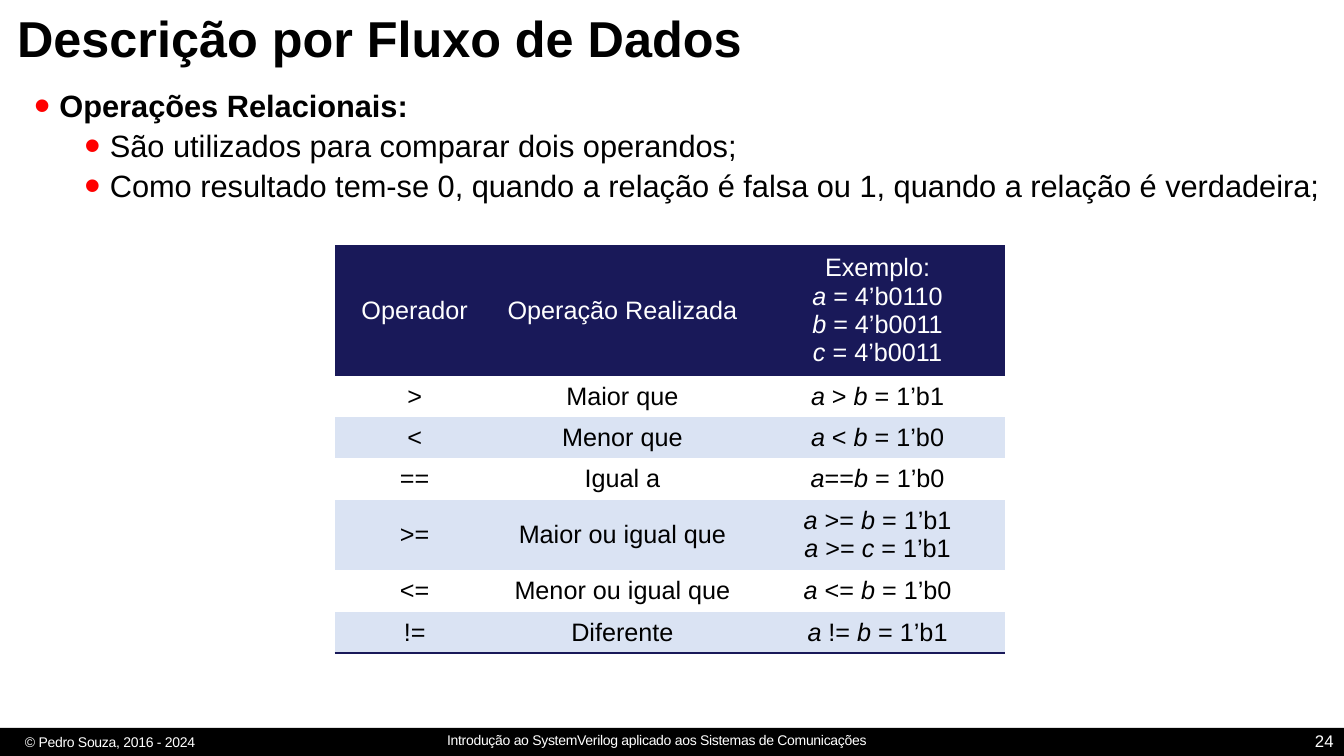
import pptx
import pptx.dml.color
import pptx.enum.shapes
import pptx.enum.text
import pptx.oxml.ns
import pptx.util
from lxml import etree

Cm, Pt = pptx.util.Cm, pptx.util.Pt
ALIGN = pptx.enum.text.PP_ALIGN
ANCHOR = pptx.enum.text.MSO_ANCHOR

COLORS = {"text": "000000", "light": "FFFFFF", "bullet": "FF0000",
          "navy": "191959", "band": "DAE3F3", "bar": "000000"}
FONT = "Arial"

TITLE = "Descrição por Fluxo de Dados"
TOPICS = [  # level, text
    (0, "Operações Relacionais:"),
    (1, "São utilizados para comparar dois operandos;"),
    (1, "Como resultado tem-se 0, quando a relação é falsa ou 1, "
        "quando a relação é verdadeira;"),
]
# Text between asterisks is italic; each line of a cell is a paragraph.
OPERATORS = [
    ("Operador", "Operação Realizada",
     "Exemplo:\n*a* = 4’b0110\n*b* = 4’b0011\n*c* = 4’b0011"),
    (">", "Maior que", "*a* > *b* = 1’b1"),
    ("<", "Menor que", "*a* < *b* = 1’b0"),
    ("==", "Igual a", "*a*==*b* = 1’b0"),
    (">=", "Maior ou igual que", "*a* >= *b* = 1’b1\n*a* >= *c* = 1’b1"),
    ("<=", "Menor ou igual que", "*a* <= *b* = 1’b0"),
    ("!=", "Diferente", "*a* != *b* = 1’b1"),
]
COLUMN_WIDTHS = (4.04, 6.43, 6.43)
TABLE_LEFT, TABLE_TOP = 8.43, 6.17
ROW_MIN, LINE_HEIGHT, CELL_MARGINS = 1.04, 0.71, 0.25
FOOTERS = [  # text, box in cm, alignment, size, letter spacing in 1/100 pt
    ("© Pedro Souza, 2016 - 2024", (0.38, 18.34, 8.33, 0.69), ALIGN.LEFT, 10, -20),
    ("Introdução ao SystemVerilog aplicado aos Sistemas de Comunicações",
     (10.77, 18.31, 11.56, 0.69), ALIGN.CENTER, 10, -20),
    ("24", (26.24, 18.16, 7.62, 1.02), ALIGN.RIGHT, 12, 0),
]
NO_STYLE_NO_GRID = "{2D5ABB26-0587-4C30-8999-92F81FD0307C}"


def rgb(name):
    return pptx.dml.color.RGBColor.from_string(COLORS[name])


def add_element(parent, tag, **attributes):
    return etree.SubElement(parent, pptx.oxml.ns.qn(tag), attributes)


def set_font(paragraph, size, color, bold=False):
    font = paragraph.font
    font.name, font.size, font.bold = FONT, Pt(size), bold
    font.color.rgb = rgb(color)


def add_frame(slide, box, anchor=ANCHOR.TOP):
    frame = slide.shapes.add_textbox(*map(Cm, box)).text_frame
    frame.word_wrap = True
    frame.vertical_anchor = anchor
    return frame


def add_title(slide):
    title = add_frame(slide, (0.18, 0.18, 33.45, 1.73), ANCHOR.MIDDLE).paragraphs[0]
    title.text = TITLE
    title.line_spacing = 0.9
    set_font(title, 36, "text", bold=True)


def add_topics(slide):
    frame = add_frame(slide, (0.61, 2.16, 33.02, 15.9))
    for index, (level, text) in enumerate(TOPICS):
        topic = frame.add_paragraph() if index else frame.paragraphs[0]
        topic.text = text
        topic.level = level
        topic.line_spacing = 0.9
        topic.space_before = Pt(5 if level else 10)
        properties = topic._p.get_or_add_pPr()
        properties.set("marL", str(Cm(0.64 + 1.27 * level)))
        properties.set("indent", str(-Cm(0.64)))
        bullet_color = add_element(properties, "a:buClr")
        add_element(bullet_color, "a:srgbClr", val=COLORS["bullet"])
        add_element(properties, "a:buSzPct", val="150000")
        add_element(properties, "a:buFont", typeface=FONT)
        add_element(properties, "a:buChar", char="•")
        set_font(topic, 22, "text", bold=level == 0)


def fill_cell(cell, text, fill, color):
    cell.vertical_anchor = ANCHOR.MIDDLE
    cell.fill.solid()
    cell.fill.fore_color.rgb = rgb(fill)
    for index, line in enumerate(text.split("\n")):
        frame = cell.text_frame
        paragraph = frame.add_paragraph() if index else frame.paragraphs[0]
        paragraph.alignment = ALIGN.CENTER
        set_font(paragraph, 18, color)
        for position, part in enumerate(line.split("*")):
            if part:
                run = paragraph.add_run()
                run.text = part
                run.font.italic = position % 2 == 1


def add_bottom_border(cell):
    properties = cell._tc.get_or_add_tcPr()
    border = etree.Element(pptx.oxml.ns.qn("a:lnB"), w=str(Pt(2.25)))
    add_element(add_element(border, "a:solidFill"), "a:srgbClr", val=COLORS["navy"])
    properties.insert(0, border)  # borders come before the fill


def add_operators(slide):
    heights = [max(ROW_MIN, (row[-1].count("\n") + 1) * LINE_HEIGHT + CELL_MARGINS)
               for row in OPERATORS]
    table = slide.shapes.add_table(
        len(OPERATORS), len(COLUMN_WIDTHS), Cm(TABLE_LEFT), Cm(TABLE_TOP),
        Cm(sum(COLUMN_WIDTHS)), Cm(sum(heights))).table
    table.horz_banding = False
    table._tbl.tblPr.find(pptx.oxml.ns.qn("a:tableStyleId")).text = NO_STYLE_NO_GRID
    for column, width in zip(table.columns, COLUMN_WIDTHS):
        column.width = Cm(width)
    for index, (row, height) in enumerate(zip(OPERATORS, heights)):
        table.rows[index].height = Cm(height)
        fill = "navy" if index == 0 else "light" if index % 2 else "band"
        for cell, text in zip(table.rows[index].cells, row):
            fill_cell(cell, text, fill, "text" if index else "light")
    for cell in table.rows[len(OPERATORS) - 1].cells:
        add_bottom_border(cell)


def add_footer(slide):
    bar = slide.shapes.add_shape(pptx.enum.shapes.MSO_SHAPE.RECTANGLE,
                                 Cm(0), Cm(18.34), Cm(33.87), Cm(0.71))
    bar.shadow.inherit = False
    bar.fill.solid()
    bar.fill.fore_color.rgb = rgb("bar")
    bar.line.fill.background()
    for text, box, alignment, size, spacing in FOOTERS:
        note = add_frame(slide, box, ANCHOR.MIDDLE).paragraphs[0]
        note.text = text
        note.alignment = alignment
        set_font(note, size, "light")
        if spacing:
            note.runs[0]._r.get_or_add_rPr().set("spc", str(spacing))


def main():
    deck = pptx.Presentation()
    deck.slide_width, deck.slide_height = Cm(33.87), Cm(19.05)
    slide = deck.slides.add_slide(deck.slide_layouts[6])
    add_footer(slide)
    add_title(slide)
    add_topics(slide)
    add_operators(slide)
    deck.save("out.pptx")


if __name__ == "__main__":
    main()
